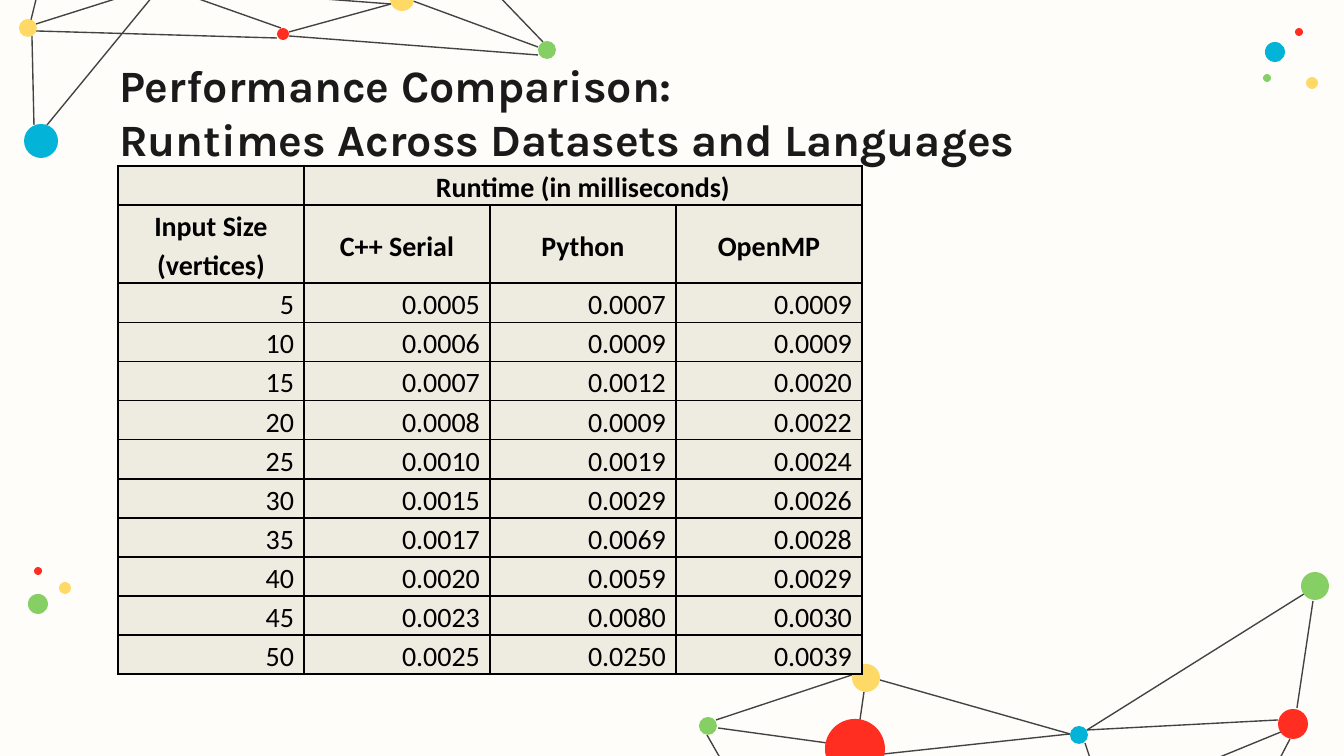
"""Build the runtime comparison slide with its network decoration."""
from lxml import etree
from pptx import Presentation
from pptx.dml.color import RGBColor
from pptx.enum.shapes import MSO_CONNECTOR, MSO_SHAPE
from pptx.enum.text import MSO_ANCHOR, MSO_AUTO_SIZE, PP_ALIGN
from pptx.oxml.ns import qn
from pptx.util import Pt

PX = 914400 / 134.4
STRAIGHT = MSO_CONNECTOR.STRAIGHT
OVAL = MSO_SHAPE.OVAL
TOP, MIDDLE = MSO_ANCHOR.TOP, MSO_ANCHOR.MIDDLE
LEFT, CENTER, RIGHT = PP_ALIGN.LEFT, PP_ALIGN.CENTER, PP_ALIGN.RIGHT

CREAM = RGBColor(0xFE, 0xFD, 0xFA)
YELLOW = RGBColor(0xFF, 0xD9, 0x66)
GREEN = RGBColor(0x86, 0xCF, 0x64)
RED = RGBColor(0xFF, 0x2E, 0x20)
BLUE = RGBColor(0x04, 0xB4, 0xD8)
GRAY = RGBColor(0x43, 0x43, 0x43)
INK = RGBColor(0x1A, 0x1A, 0x1A)
BLACK = RGBColor(0, 0, 0)
BEIGE = RGBColor(0xEE, 0xEC, 0xE1)


def px(*lengths):
    return [round(length * PX) for length in lengths]


def style_text(frame, font, size, color, bold, align):
    for para in frame.paragraphs:
        para.alignment = align
        for span in para.runs:
            span.font.name = font
            span.font.size = Pt(size)
            span.font.color.rgb = color
            span.font.bold = bold


deck = Presentation()
deck.slide_width, deck.slide_height = px(1344, 756)
page = deck.slides.add_slide(deck.slide_layouts[5])
page.background.fill.solid()
page.background.fill.fore_color.rgb = CREAM

links = [
    (36, 24, 153, -13), (281, 28, 165, -13), (117, -328, 31, 20),
    (36, 31, 277, 38), (289, 32, 391, 4), (165, -13, 391, 4),
    (538, 47, 413, 1), (289, 36, 538, 55), (543, 42, 419, -87),
    (157, -9, 47, 125), (32, 36, 34, 125),
    (1313, 601, 1297, 708), (1290, 739, 1121, 1064), (1304, 594, 1087, 730),
    (1085, 743, 1137, 899), (1070, 734, 884, 754), (1281, 732, 820, 921),
    (1278, 720, 1087, 730), (809, 914, 707, 735), (718, 728, 827, 743),
    (716, 720, 852, 675), (880, 680, 1070, 734), (864, 692, 860, 720),
]
for ends in links:
    link = page.shapes.add_connector(STRAIGHT, *px(*ends))
    link.line.color.rgb = GRAY
    link.line.width = Pt(0.75)
    etree.SubElement(link._element.spPr, qn("a:effectLst"))

dots = [
    (65, 588, 12, YELLOW), (38, 604, 20, GREEN), (38, 571, 8, RED),
    (1312, 83, 12, YELLOW), (1275, 52, 20, BLUE), (1299, 32, 8, RED),
    (1267, 78, 8, GREEN),
    (402, -1, 24, YELLOW), (28, 28, 18, YELLOW), (283, 34, 12, RED),
    (547, 50, 18, GREEN), (41, 141, 34, BLUE),
    (1315, 586, 28, GREEN), (855, 749, 60, RED), (1293, 724, 30, RED),
    (1079, 735, 18, BLUE), (708, 726, 18, GREEN), (866, 678, 28, YELLOW),
]
for x, y, size, color in dots:
    dot = page.shapes.add_shape(
        OVAL, *px(x - size / 2, y - size / 2, size, size))
    dot.fill.solid()
    dot.fill.fore_color.rgb = color
    dot.line.fill.background()
    dot.shadow.inherit = False

title = page.shapes.title
page.shapes._spTree.append(title._element)
title.left, title.top, title.width, title.height = px(106, 45, 1133, 123)
frame = title.text_frame
frame.text = "Performance Comparison: \vRuntimes Across Datasets and Languages"
frame.word_wrap = True
frame.auto_size = MSO_AUTO_SIZE.NONE
frame.vertical_anchor = TOP
frame.margin_left, frame.margin_top, frame.margin_right, frame.margin_bottom = px(
    13, 13, 13, 13)
style_text(frame, "Karla", 24, INK, True, LEFT)

rows = [
    ("", "Runtime (in milliseconds)", "", ""),
    ("Input Size (vertices)", "C++ Serial", "Python", "OpenMP"),
    ("5", "0.0005", "0.0007", "0.0009"),
    ("10", "0.0006", "0.0009", "0.0009"),
    ("15", "0.0007", "0.0012", "0.0020"),
    ("20", "0.0008", "0.0009", "0.0022"),
    ("25", "0.0010", "0.0019", "0.0024"),
    ("30", "0.0015", "0.0029", "0.0026"),
    ("35", "0.0017", "0.0069", "0.0028"),
    ("40", "0.0020", "0.0059", "0.0029"),
    ("45", "0.0023", "0.0080", "0.0030"),
    ("50", "0.0025", "0.0250", "0.0039"),
]
HEADER_ROWS = 2
table = page.shapes.add_table(
    len(rows), len(rows[0]), *px(118, 166, 744, 507)).table
for column in table.columns:
    column.width = px(186)[0]
for r, values in enumerate(rows):
    table.rows[r].height = px(78 if r == 1 else 39)[0]
    header = r < HEADER_ROWS
    for c, value in enumerate(values):
        cell = table.cell(r, c)
        cell.text = value
        cell.vertical_anchor = MIDDLE
        cell.margin_left, cell.margin_right = px(10, 10)
        cell.margin_top = cell.margin_bottom = 0
        style_text(cell.text_frame, "Calibri", 15, BLACK, header,
                   CENTER if header else RIGHT)
        cell.text_frame.paragraphs[0].line_spacing = 1.14
        properties = cell._tc.get_or_add_tcPr()
        for side in ("a:lnL", "a:lnR", "a:lnT", "a:lnB"):
            border = etree.SubElement(properties, qn(side), w=str(Pt(1)))
            paint = etree.SubElement(border, qn("a:solidFill"))
            etree.SubElement(paint, qn("a:srgbClr"), val=str(BLACK))
        cell.fill.solid()
        cell.fill.fore_color.rgb = BEIGE
table.cell(0, 1).merge(table.cell(0, 3))
for c in (0, 2, 3):
    table.cell(0, c).text_frame.paragraphs[0].font.size = Pt(15)

deck.save("out.pptx")
